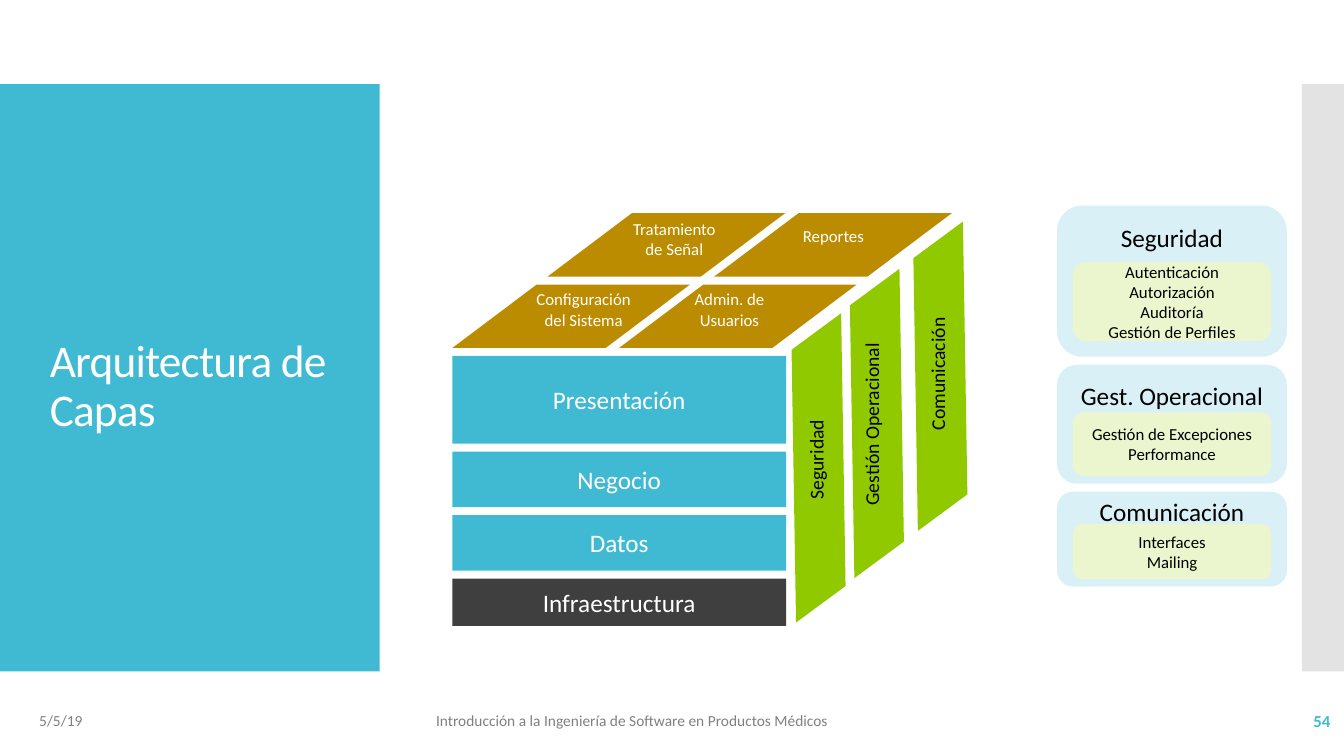
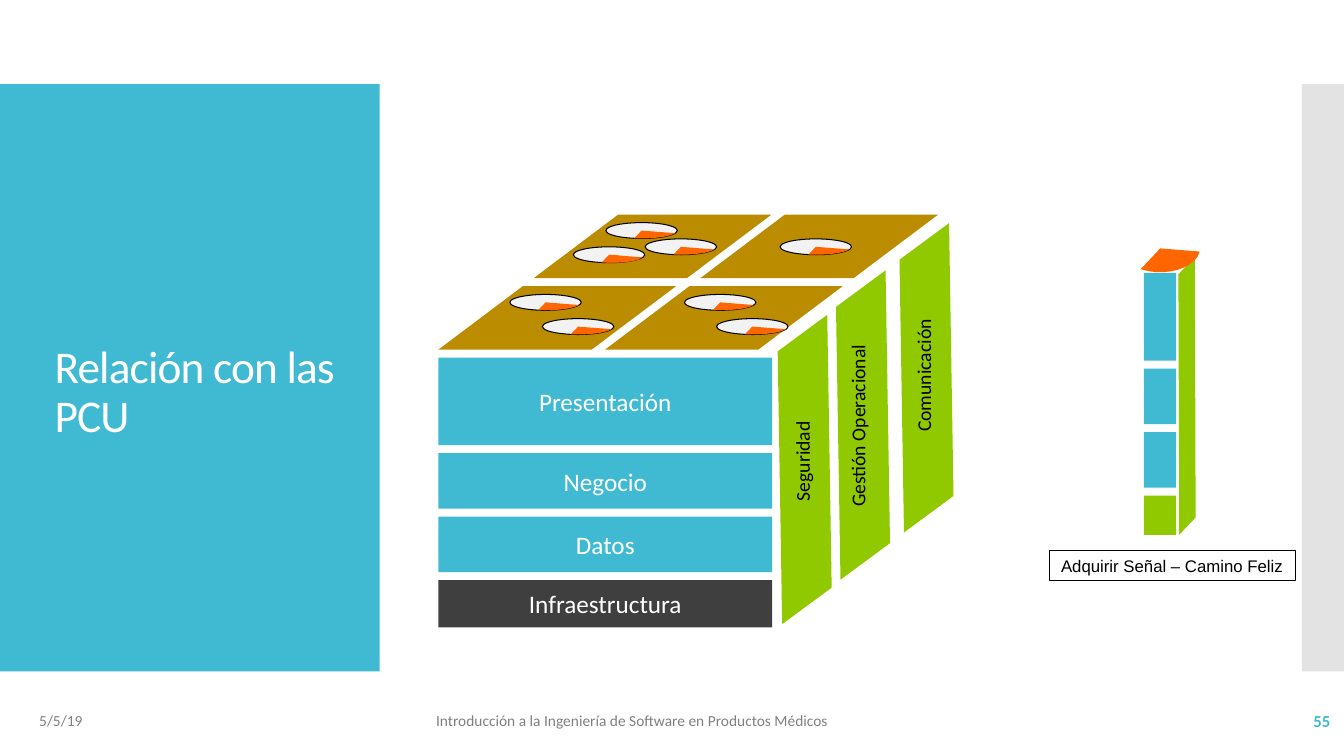
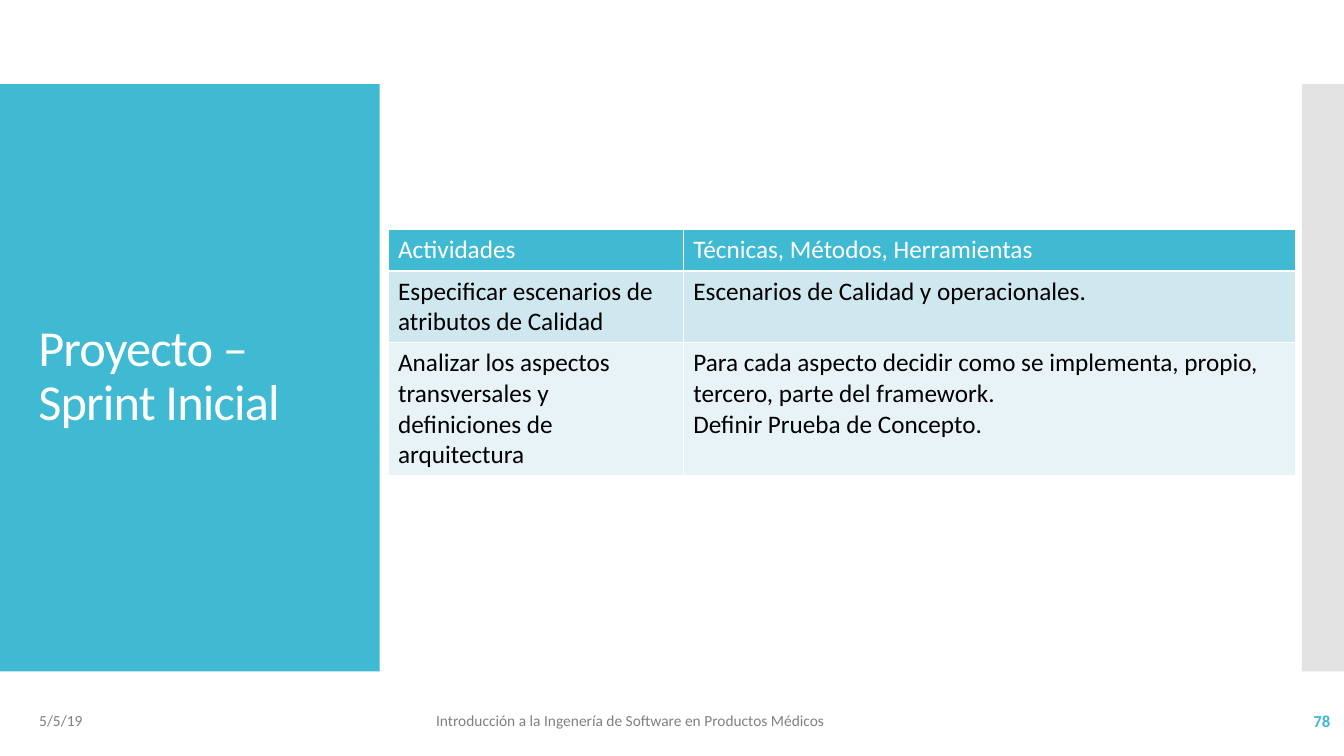
from lxml.etree import SubElement
from pptx import Presentation
from pptx.dml.color import RGBColor
from pptx.enum.shapes import MSO_SHAPE
from pptx.enum.text import MSO_ANCHOR, MSO_AUTO_SIZE, PP_ALIGN
from pptx.oxml.ns import qn
from pptx.util import Cm, Pt

# Shared palette and measures
TEAL, GREEN, GOLD, ORANGE = "40BAD2", "90C900", "BB8B00", "FF6600"
WHITE, BLACK, DARK, GREY = "FFFFFF", "000000", "3F3F3F", "808080"
GAP = 0.2
hex_color = RGBColor.from_string


def draw(slide, kind, x, y, w, h, fill=None, line=None, adjust=()):
    shape = slide.shapes.add_shape(kind, Cm(x), Cm(y), Cm(w), Cm(h))
    shape.shadow.inherit = False
    if fill:
        shape.fill.solid()
        shape.fill.fore_color.rgb = hex_color(fill)
    else:
        shape.fill.background()
    if line:
        shape.line.color.rgb = hex_color(line)
        shape.line.width = Pt(0.75)
    else:
        shape.line.fill.background()
    for index, value in enumerate(adjust):
        shape.adjustments[index] = value
    return shape


def write(frame, lines, size, color, align=PP_ALIGN.CENTER,
          anchor=MSO_ANCHOR.MIDDLE, bold=False, font="Calibri", wrap=True):
    frame.word_wrap = wrap
    frame.auto_size = MSO_AUTO_SIZE.NONE
    frame.vertical_anchor = anchor
    for index, line in enumerate(lines):
        paragraph = frame.add_paragraph() if index else frame.paragraphs[0]
        paragraph.alignment = align
        run = paragraph.add_run()
        run.text = line
        run.font.name = font
        run.font.size = Pt(size)
        run.font.bold = bold
        run.font.color.rgb = hex_color(color)


prs = Presentation()
prs.slide_width, prs.slide_height = Cm(33.87), Cm(19.05)
title_only = prs.slide_layouts[5]

# Titles and footers of every slide
COURSE = "Introducción a la Ingeniería de Software en Productos Médicos"
pages = [
    ("Arquitectura de Capas", 32.4, (1, 8.66, 8.94, 2.18), COURSE, "54"),
    ("Relación con las PCU", 32.4, (1.12, 8.81, 7.75, 2.18), COURSE, "55"),
    ("Proyecto – Sprint Inicial", 36, (0.71, 3.12, 8.18, 12.78),
     "Introducción a la Ingenería de Software en Productos Médicos", "78"),
]
slides = []
for heading, size, place, course, number in pages:
    slide = prs.slides.add_slide(title_only)
    slides.append(slide)
    title = slide.shapes.title
    title.left, title.top, title.width, title.height = [Cm(v) for v in place]
    write(title.text_frame, [heading], size, WHITE, PP_ALIGN.LEFT)
    paragraph = title.text_frame.paragraphs[0]
    paragraph.line_spacing = 0.9
    paragraph.runs[0]._r.get_or_add_rPr().set("spc", "-60")
    for text, x, w, points, color, align, bold in [
        ("5/5/19", 0.74, 7.62, 11, GREY, PP_ALIGN.LEFT, False),
        (course, 10.74, 16.41, 11, GREY, PP_ALIGN.LEFT, False),
        (number, 29.54, 4.24, 12, TEAL, PP_ALIGN.RIGHT, True),
    ]:
        footer = slide.shapes.add_textbox(Cm(x), Cm(17.65), Cm(w), Cm(1.02))
        write(footer.text_frame, [text], points, color, align, bold=bold)
layers_slide, cases_slide, project_slide = slides

# Side bands, moved to the back of the shared layout
title_band = draw(layers_slide, MSO_SHAPE.RECTANGLE, 0, 2.12, 9.57, 14.8, TEAL)
edge_band = draw(layers_slide, MSO_SHAPE.RECTANGLE, 32.81, 2.12, 1.06, 14.8, "C8C8C8")
edge_color = edge_band.fill._xPr.find(qn("a:solidFill"))[0]
SubElement(edge_color, qn("a:alpha"), val="50000")
for band in (edge_band, title_band):
    title_only.shapes.element.insert(2, band.element)

# Architecture cube on the first two slides
layers = [("Presentación", 2.21, TEAL), ("Negocio", 1.4, TEAL),
          ("Datos", 1.4, TEAL), ("Infraestructura", 1.19, DARK)]
sides = [  # left, top of the face; label, its centre and width
    (17.86, 8.99, "Seguridad", 20.56, 11.58, 2.62),
    (19.33, 7.87, "Gestión Operacional", 21.96, 10.69, 4.7),
    (20.93, 6.68, "Comunicación", 23.62, 9.42, 3.45),
]
for slide, dx, dy in [(layers_slide, 0, 0), (cases_slide, -0.35, 0.04)]:
    top = 8.97 + dy
    for name, height, color in layers:
        layer = draw(slide, MSO_SHAPE.RECTANGLE, 11.4 + dx, top, 8.41, height, color)
        write(layer.text_frame, [name], 18, WHITE)
        top += height + GAP
    for x, y, name, center_x, center_y, width in sides:
        face = draw(slide, MSO_SHAPE.PARALLELOGRAM, x + dx, y + dy, 5.54, 5.6,
                    GREEN, adjust=[0.72])
        face.rotation = 323.6
        label = slide.shapes.add_textbox(
            Cm(center_x + dx - width / 2), Cm(center_y + dy - 0.43), Cm(width), Cm(0.86))
        label.rotation = 270
        write(label.text_frame, [name], 14, BLACK, wrap=False)
    for row in range(2):
        for column in range(2):
            draw(slide, MSO_SHAPE.PARALLELOGRAM, 13.8 - 2.4 * row + 4.2 * column + dx,
                 5.37 + 1.8 * row + dy, 5.99, 1.6, GOLD, adjust=[1.33])

# Slide 1: names of the modules on top of the cube
for name, x, y, width in [
    ("Tratamiento de Señal", 15.6, 5.38, 2.79),
    ("Configuración del Sistema", 13.21, 7.16, 3),
    ("Reportes", 19.61, 5.56, 2.79),
    ("Admin. de Usuarios", 16.99, 7.16, 2.79),
]:
    module = layers_slide.shapes.add_textbox(Cm(x), Cm(y), Cm(width), Cm(1.27))
    write(module.text_frame, [name], 12, WHITE, anchor=MSO_ANCHOR.TOP)

# Slide 1: cards of the cross-cutting aspects
top = 5.18
for aspect, height, margin, offset, inner_height, services in [
    ("Seguridad", 3.81, 0.25, 1.42, 2,
     ["Autenticación", "Autorización", "Auditoría", "Gestión de Perfiles"]),
    ("Gest. Operacional", 3, 0.25, 1.2, 1.6, ["Gestión de Excepciones", "Performance"]),
    ("Comunicación", 2.39, 0, 0.81, 1.4, ["Interfaces", "Mailing"]),
]:
    card = draw(layers_slide, MSO_SHAPE.ROUNDED_RECTANGLE, 26.64, top, 5.79, height, "D9F1F6")
    card.text_frame.margin_top = Cm(margin)
    write(card.text_frame, [aspect], 18, BLACK, anchor=MSO_ANCHOR.TOP)
    detail = draw(layers_slide, MSO_SHAPE.ROUNDED_RECTANGLE, 27.04, top + offset,
                  5, inner_height, "EBF6CE")
    write(detail.text_frame, services, 12, BLACK)
    top += height + GAP

# Slide 2: use cases, each with its architecturally relevant slice
SLICE = [2.74, 79.99]
for x, y in [(15.27, 5.61), (16.26, 6.02), (12.85, 7.42), (14.45, 6.22),
             (13.67, 8.03), (19.66, 6.02), (17.25, 7.42), (18.06, 8.03)]:
    draw(cases_slide, MSO_SHAPE.OVAL, x, y, 1.8, 0.4, "F2F2F2", BLACK)
    draw(cases_slide, MSO_SHAPE.PIE, x, y, 1.8, 0.4, ORANGE, adjust=SLICE)
draw(cases_slide, MSO_SHAPE.PIE, 14.66, 6.22, 1.6, 0.4, ORANGE, adjust=[5.87, 79.99])

# Slide 2: column of layers crossed by one scenario
top = 6.88
for height, color in [(2.21, TEAL), (1.4, TEAL), (1.4, TEAL), (0.99, GREEN)]:
    draw(cases_slide, MSO_SHAPE.RECTANGLE, 28.83, top, 0.81, height, color)
    top += height + GAP
column_side = draw(cases_slide, MSO_SHAPE.PARALLELOGRAM, 27.25, 7.7, 5.33, 4.55,
                   GREEN, adjust=[1.04])
column_side.rotation = 313.7
scenario = draw(cases_slide, MSO_SHAPE.RECTANGLE, 26.44, 13.87, 6.2, 0.77, line=BLACK)
write(scenario.text_frame, ["Adquirir Señal – Camino Feliz"], 12, BLACK,
      font="Arial", wrap=False)
draw(cases_slide, MSO_SHAPE.PIE, 28.24, 5.66, 2, 1.2, ORANGE, adjust=SLICE)

# Slide 3: activities table
activities = [
    (1.04, TEAL, WHITE, ["Actividades"], ["Técnicas, Métodos, Herramientas"]),
    (1.8, "CFE7EE", BLACK, ["Especificar escenarios de atributos de Calidad"],
     ["Escenarios de Calidad y operacionales."]),
    (3.34, "E8F3F7", BLACK,
     ["Analizar los aspectos transversales y definiciones de arquitectura"],
     ["Para cada aspecto decidir como se implementa, propio, tercero, parte del framework.",
      "Definir Prueba de Concepto."]),
]
table = project_slide.shapes.add_table(
    3, 2, Cm(9.78), Cm(5.79), Cm(22.86), Cm(6.18)).table
table.columns[0].width, table.columns[1].width = Cm(7.44), Cm(15.42)
for row, (height, fill, color, *texts) in enumerate(activities):
    table.rows[row].height = Cm(height)
    for column, lines in enumerate(texts):
        cell = table.cell(row, column)
        properties = cell._tc.get_or_add_tcPr()
        for edge in ("a:lnL", "a:lnR", "a:lnT", "a:lnB"):
            border = SubElement(properties, qn(edge), w="12700")
            SubElement(SubElement(border, qn("a:solidFill")), qn("a:srgbClr"), val=WHITE)
        cell.fill.solid()
        cell.fill.fore_color.rgb = hex_color(fill)
        write(cell.text_frame, lines, 18, color, PP_ALIGN.LEFT, MSO_ANCHOR.TOP)

prs.save("out.pptx")
